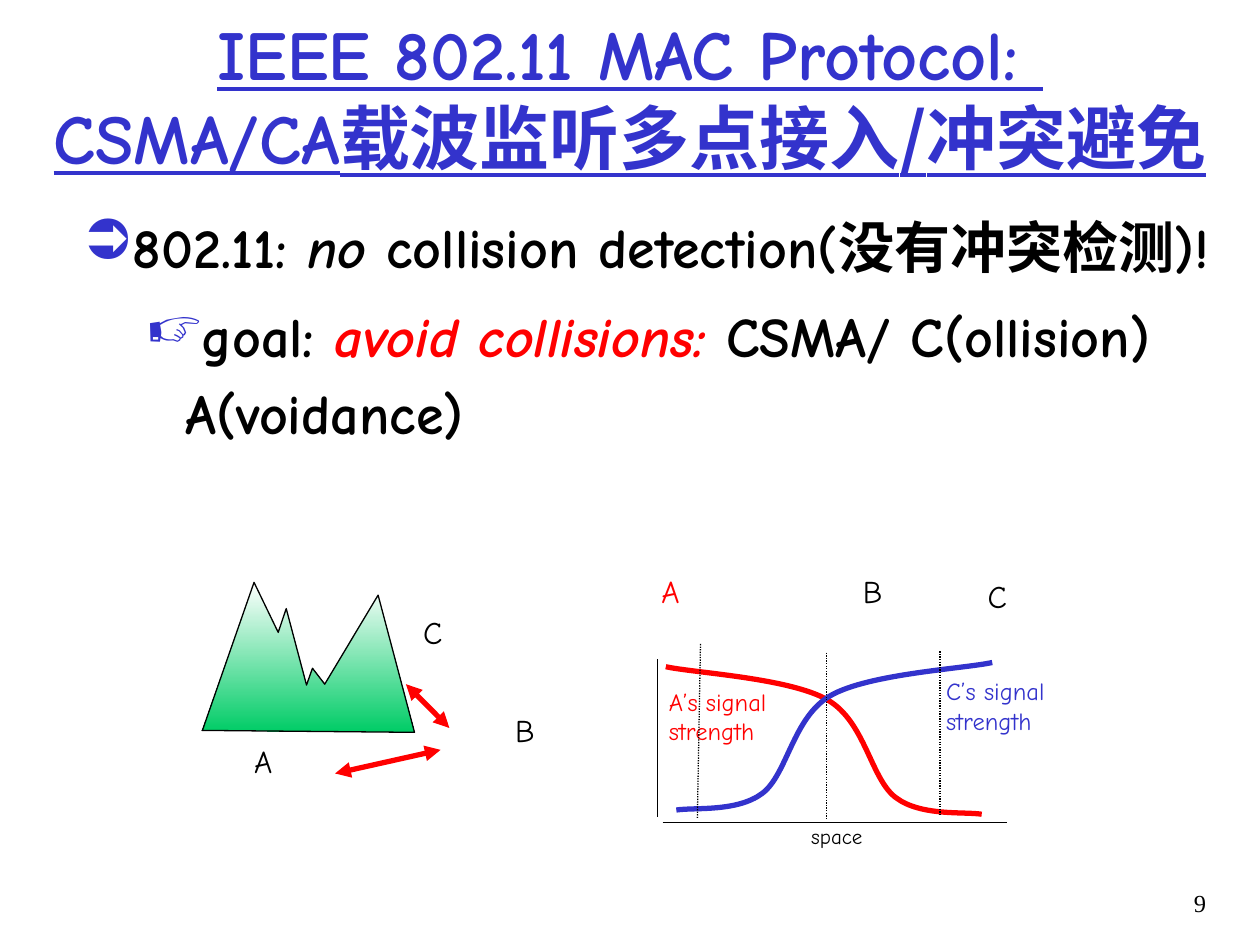
from lxml import etree
from pptx import Presentation
from pptx import util as u
from pptx.dml.color import RGBColor
from pptx.enum import dml, shapes, text
from pptx.oxml import ns

LATIN, CHINESE = "Comic Neue", "Noto Sans CJK SC"
BLACK, RED, BLUE = "000000", "FF0000", "3333CC"


def color(hex_text):
    return RGBColor.from_string(hex_text)


def add_child(parent, tag, **attributes):
    return etree.SubElement(parent, ns.qn(tag), attributes)


def style_font(font, size, hex_text, name=LATIN, bold=None):
    font.size = u.Pt(size)
    font.name = name
    font.color.rgb = color(hex_text)
    font.bold = bold


def add_box(slide, left, top, width, height, wrap=True):
    box = slide.shapes.add_textbox(u.Pt(left), u.Pt(top), u.Pt(width), u.Pt(height))
    box.text_frame.word_wrap = wrap
    return box.text_frame


def add_span(para, words, east_asian=False):
    span = para.add_run()
    span.text = words
    if east_asian:
        add_child(span.font._element, "a:ea", typeface=CHINESE)
    return span


def add_label(slide, words, left, top, width, height, size=18, hex_text=BLACK):
    frame = add_box(slide, left, top, width, height, wrap=False)
    frame.auto_size = text.MSO_AUTO_SIZE.SHAPE_TO_FIT_TEXT
    frame.text = words
    for para in frame.paragraphs:
        style_font(para.font, size, hex_text)


def add_line(slide, start, end, hex_text=BLACK, width=0.75, dotted=False, arrows=False):
    line = slide.shapes.add_connector(
        shapes.MSO_CONNECTOR.STRAIGHT, *(u.Pt(value) for value in start + end))
    line.line.color.rgb = color(hex_text)
    line.line.width = u.Pt(width)
    if dotted:
        line.line.dash_style = dml.MSO_LINE.ROUND_DOT
    if arrows:
        for tag in ("a:headEnd", "a:tailEnd"):
            add_child(line.line._get_or_add_ln(), tag, type="triangle")
    add_child(line._element.spPr, "a:effectLst")


def add_outline(slide, points, hex_text, width, close):
    start, *others = [(u.Pt(x), u.Pt(y)) for x, y in points]
    builder = slide.shapes.build_freeform(*start)
    builder.add_line_segments(others, close=close)
    outline = builder.convert_to_shape()
    outline.shadow.inherit = False
    outline.line.color.rgb = color(hex_text)
    outline.line.width = u.Pt(width)
    return outline


def add_mountain(slide, points):
    mountain = add_outline(slide, points, BLACK, 0.75, close=True)
    mountain.fill.gradient()
    mountain.fill.gradient_angle = 270
    for stop, position, shade in zip(mountain.fill.gradient_stops, (0, 1), ("FFFFFF", "00CC66")):
        stop.position = position
        stop.color.rgb = color(shade)


def add_curve(slide, points, hex_text):
    curve = add_outline(slide, points, hex_text, 3, close=False)
    curve.fill.background()
    segments = list(curve._element.iter(ns.qn("a:lnTo")))
    outline = segments[0].getparent()
    for first in range(0, len(segments), 3):
        bezier = add_child(outline, "a:cubicBezTo")
        for segment in segments[first:first + 3]:
            bezier.append(segment[0])
            outline.remove(segment)


def add_bullet(para, mark, margin, indent):
    properties = para._p.get_or_add_pPr()
    properties.set("marL", str(u.Pt(margin)))
    properties.set("indent", str(u.Pt(indent)))
    para.line_spacing = 1.15
    add_child(add_child(properties, "a:buClr"), "a:srgbClr", val=BLUE)
    add_child(properties, "a:buChar", char=mark)
    style_font(para.font, 32, BLACK, bold=True)


def add_title(slide):
    frame = add_box(slide, 0, 0, 720, 108)
    frame.vertical_anchor = text.MSO_ANCHOR.MIDDLE
    para = frame.paragraphs[0]
    para.alignment = text.PP_ALIGN.CENTER
    style_font(para.font, 40, BLUE, bold=True)
    para.font.underline = True
    add_span(para, "IEEE 802.11 MAC Protocol: ")
    para.add_line_break()
    add_span(para, "CSMA/CA")
    chinese = add_span(para, "载波监听多点接入/冲突避免")
    chinese.font.name = CHINESE
    add_child(chinese.font._element, "a:ea", typeface=CHINESE)


def add_body(slide):
    frame = add_box(slide, 40.3, 112.3, 679.7, 357.8)
    para = frame.paragraphs[0]
    add_bullet(para, "➲", 27, -27)
    add_span(para, "802.11: ")
    add_span(para, "no").font.italic = True
    add_span(para, " collision detection(没有冲突检测)!", east_asian=True)

    para = frame.add_paragraph()
    para.level = 1
    para.space_before = u.Pt(6.4)
    add_bullet(para, "☞", 58.5, -22.5)
    add_span(para, "goal: ")
    goal = add_span(para, "avoid collisions:")
    goal.font.italic = True
    goal.font.color.rgb = color(RED)
    add_span(para, " CSMA/ C(ollision) A(voidance)")


def add_terrain(slide):
    add_mountain(slide, [
        (115.7, 417.4), (145.2, 332.8), (159, 361.4), (163.6, 347.8), (175.2, 391.5),
        (178.6, 381.9), (185.6, 391), (216.1, 340.1), (236.9, 418.5), (115.4, 417.4)])
    add_line(slide, (191.5, 442), (251.8, 428.5), RED, 3, arrows=True)
    add_line(slide, (232, 391), (256.8, 416), RED, 3, arrows=True)
    for name, left, top in (("A", 138.2, 420.5), ("B", 287.3, 402.5), ("C", 234.7, 347)):
        add_label(slide, name, left, top, 26, 28.8)


def add_signal_plot(slide):
    for name, left, top, shade in (
            ("A", 370.8, 323.3, RED), ("B", 486, 323.3, BLACK), ("C", 557.3, 326.2, BLACK)):
        add_label(slide, name, left, top, 26, 28.8, hex_text=shade)
    add_label(slide, "A’s signal\nstrength", 375.1, 388.8, 74.9, 41, 14, RED)
    add_line(slide, (378.7, 470), (575.3, 470))
    add_line(slide, (375.8, 376.6), (375.8, 466.6))

    red_curve = [
        (380.5, 381), (396, 384.5), (451.4, 387.4), (473, 400), (494.6, 412.6),
        (497.5, 445), (511.9, 455.8), (526.3, 466.6), (550.8, 463.7), (561, 465.3)]
    left, right = 380.5, 567
    blue_curve = [(left + right - x, y - 2.4) for x, y in red_curve]
    add_curve(slide, red_curve, RED)
    add_label(slide, "space", 456.5, 467.3, 45.4, 21.6, 12)
    add_curve(slide, blue_curve, BLUE)
    add_label(slide, "C’s signal\nstrength", 533.5, 383, 72.7, 41, 14, BLUE)
    for start, end in (((400.3, 368), (398.5, 467.3)), ((472.3, 373), (472.3, 468.7)),
                       ((537.2, 372.2), (537.2, 465.1))):
        add_line(slide, start, end, dotted=True)


def add_page_number(slide):
    para = add_box(slide, 643, 504, 53.3, 36).paragraphs[0]
    para.alignment = text.PP_ALIGN.RIGHT
    style_font(para.font, 14, BLACK, "Times New Roman")
    add_span(para, "9")


def main():
    deck = Presentation()
    deck.slide_width, deck.slide_height = u.Pt(720), u.Pt(540)
    slide = deck.slides.add_slide(deck.slide_layouts[6])
    add_page_number(slide)
    add_body(slide)
    add_terrain(slide)
    add_signal_plot(slide)
    add_title(slide)
    deck.save("out.pptx")


if __name__ == "__main__":
    main()
